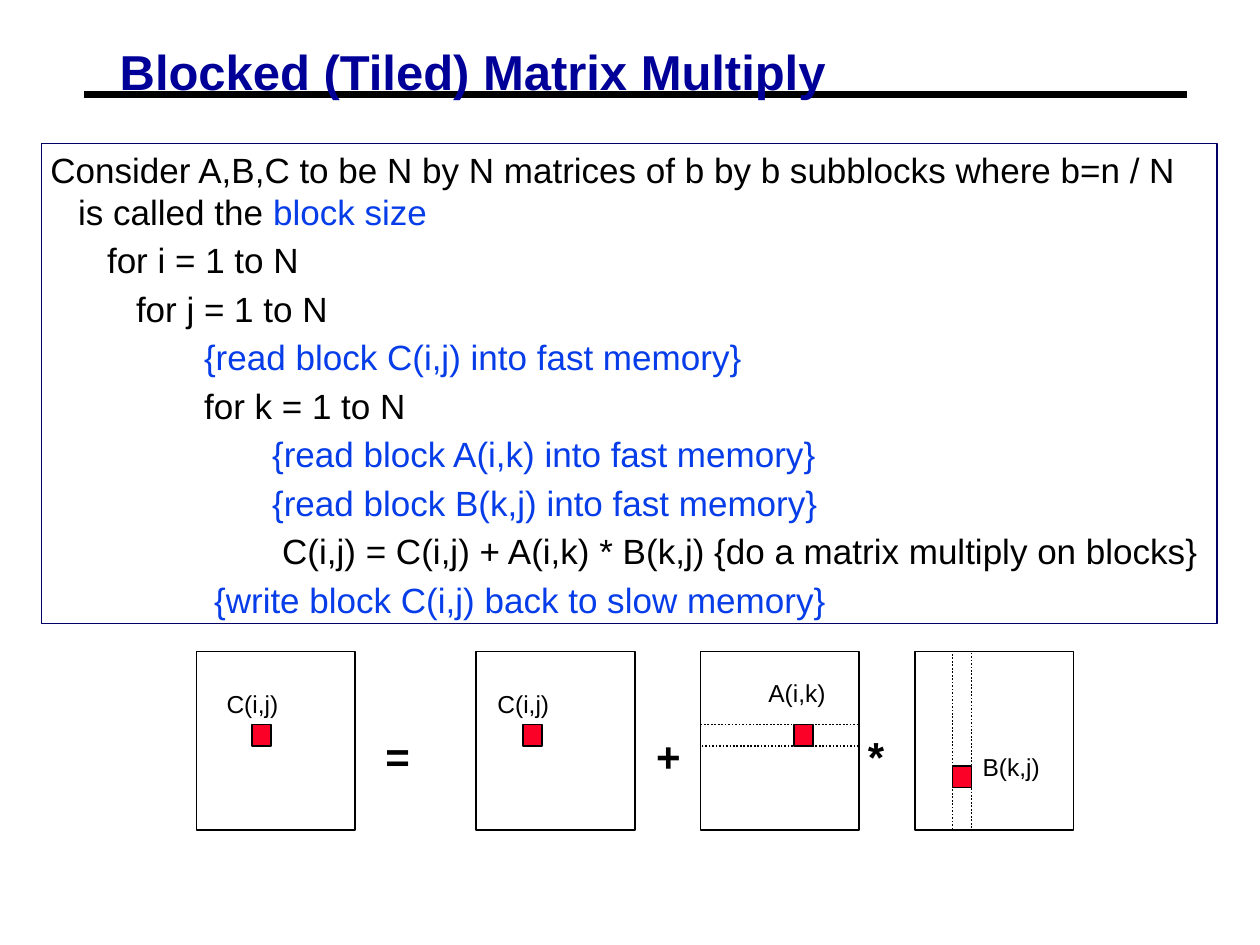
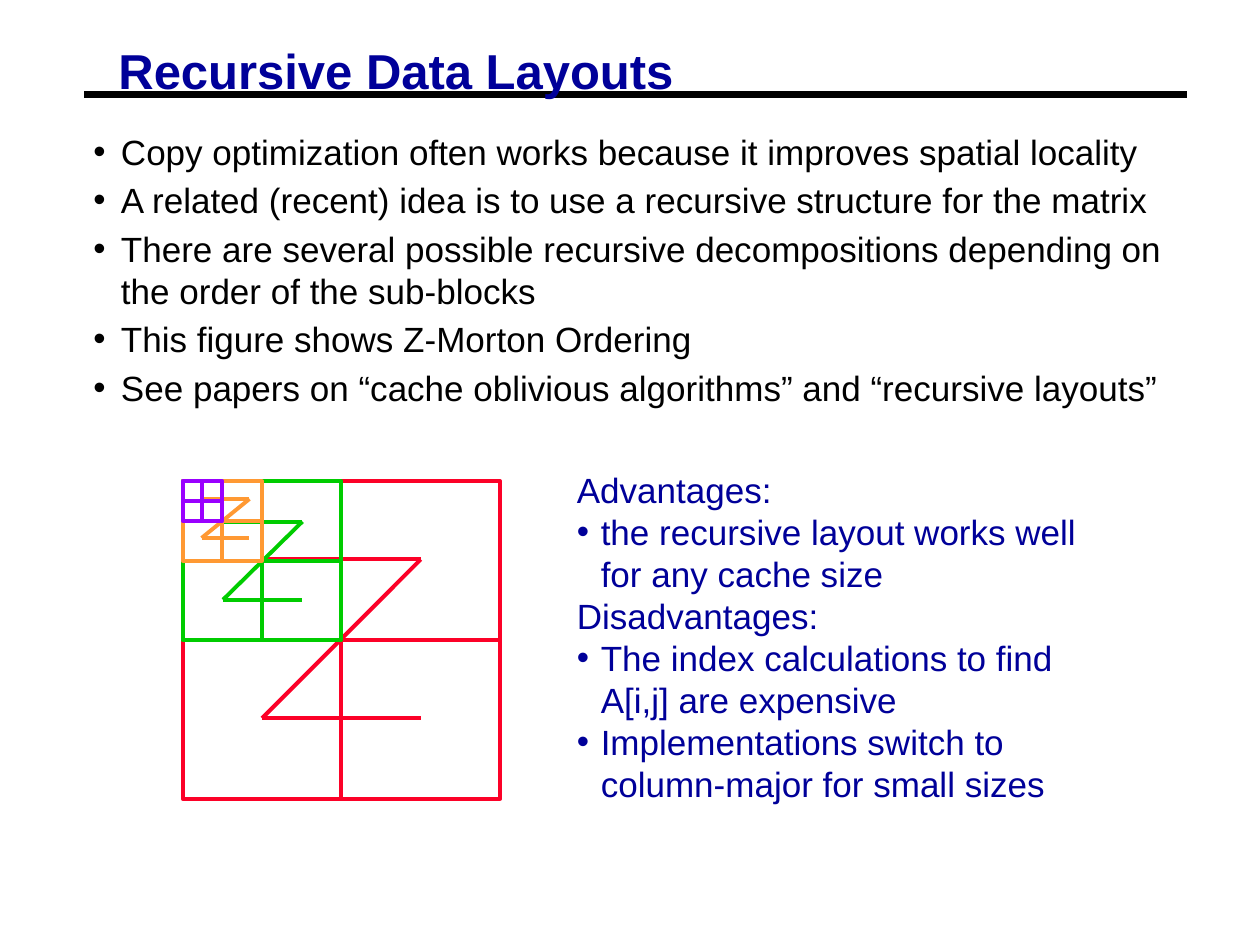
from dataclasses import dataclass

from lxml import etree
from pptx import Presentation
from pptx import util as u
from pptx.dml.color import RGBColor
from pptx.enum import dml, shapes, text
from pptx.oxml.ns import qn

FONT = "Arial"
BLACK = RGBColor(0x00, 0x00, 0x00)
NAVY = RGBColor(0x00, 0x00, 0x99)
FRAME_NAVY = RGBColor(0x00, 0x00, 0x66)
MEMORY_BLUE = RGBColor(0x06, 0x3D, 0xE8)
RED = RGBColor(0xFC, 0x01, 0x28)
GREEN = RGBColor(0x00, 0xCC, 0x00)
ORANGE = RGBColor(0xFF, 0x99, 0x33)
PURPLE = RGBColor(0x99, 0x00, 0xFF)

# The slide is a grid of 100 columns by 75 square rows.
COLUMNS, ROWS = 100, 75
CELL = u.Inches(10) // COLUMNS

TIGHT = {"margin_left": 0.7, "margin_right": 0.7, "margin_top": 0.35, "margin_bottom": 0.35}
LOOSE = {"margin_left": 1, "margin_right": 1, "margin_top": 0.5, "margin_bottom": 0.5}
HANG = 2.2

MATRIX_TOP, MATRIX_WIDTH, MATRIX_HEIGHT = 51.7, 12.6, 14.2
BLOCK_WIDTH, BLOCK_HEIGHT = 1.5, 1.7


@dataclass
class Line:
    """One paragraph; indents are in grid columns, hang is how far the first line sticks out."""
    words: str
    color: RGBColor = BLACK
    indent: float = 0
    hang: float = 0
    bullet: bool = False
    tail: str = ""
    tail_color: RGBColor = MEMORY_BLUE


def grid(*cells):
    return [u.Emu(round(cell * CELL)) for cell in cells]


def set_frame(frame, margins, anchor=text.MSO_ANCHOR.TOP):
    frame.word_wrap = True
    frame.auto_size = text.MSO_AUTO_SIZE.NONE
    frame.vertical_anchor = anchor
    for name, cells in margins.items():
        setattr(frame, name, grid(cells)[0])


def set_font(font, color, size, bold=False):
    values = {"name": FONT, "size": u.Pt(size), "bold": bold}
    for name, value in values.items():
        setattr(font, name, value)
    font.color.rgb = color


def set_indent(paragraph, line):
    properties = paragraph._p.get_or_add_pPr()
    left, first = grid(line.indent, -line.hang)
    properties.set("marL", str(left))
    properties.set("indent", str(first))
    if line.bullet:
        etree.SubElement(properties, qn("a:buFont")).set("typeface", FONT)
        etree.SubElement(properties, qn("a:buChar")).set("char", "•")
    else:
        etree.SubElement(properties, qn("a:buNone"))


def write_lines(frame, lines, size=20, space=0, bold=False):
    for index, line in enumerate(lines):
        paragraph = frame.add_paragraph() if index else frame.paragraphs[0]
        paragraph.alignment = text.PP_ALIGN.LEFT
        paragraph.space_before = u.Pt(space if index else 0)
        set_indent(paragraph, line)
        for words, color in ((line.words, line.color), (line.tail, line.tail_color)):
            if words:
                run = paragraph.add_run()
                run.text = words
                set_font(run.font, color, size, bold)


def add_text(slide, box, lines, margins=LOOSE, **style):
    frame = slide.shapes.add_textbox(*grid(*box)).text_frame
    set_frame(frame, margins)
    write_lines(frame, lines, **style)


def add_box(parent, box, line_color=BLACK, width=1, fill=None, dotted=False):
    shape = parent.shapes.add_shape(shapes.MSO_SHAPE.RECTANGLE, *grid(*box))
    shape.shadow.inherit = False
    if fill is None:
        shape.fill.background()
    else:
        shape.fill.solid()
        shape.fill.fore_color.rgb = fill
    shape.line.color.rgb = line_color
    shape.line.width = u.Pt(width)
    if dotted:
        shape.line.dash_style = dml.MSO_LINE.ROUND_DOT
    return shape


def add_line(parent, start, end, color, width):
    connector = parent.shapes.add_connector(
        shapes.MSO_CONNECTOR.STRAIGHT, *grid(*start, *end))
    connector.line.color.rgb = color
    connector.line.width = u.Pt(width)
    etree.SubElement(connector.element.spPr, qn("a:effectLst"))
    return connector


def add_titled_slide(presentation, title, box):
    slide = presentation.slides.add_slide(presentation.slide_layouts[5])
    shape = slide.shapes.title
    shape.left, shape.top, shape.width, shape.height = grid(*box)
    set_frame(shape.text_frame, TIGHT, text.MSO_ANCHOR.MIDDLE)
    write_lines(shape.text_frame, [Line(title, NAVY)], size=28, bold=True)
    shape.text_frame.paragraphs[0].line_spacing = 0.87
    return slide


def move_rule_to_layout(slide):
    """Draw the rule under the title and hand it to the layout that the slides share."""
    rule = add_line(slide, (6.7, 7.5), (94.2, 7.5), BLACK, 3.75)
    slide.slide_layout.shapes.element.append(rule.element)


def add_matrix(slide, left, block, label, label_at, strip=None):
    """Draw a matrix with one marked block, and the block's row or column strip."""
    add_box(slide, (left, MATRIX_TOP, MATRIX_WIDTH, MATRIX_HEIGHT))
    block_left, block_top = block
    strips = {"row": (left, block_top, MATRIX_WIDTH, BLOCK_HEIGHT),
              "column": (block_left, MATRIX_TOP, BLOCK_WIDTH, MATRIX_HEIGHT)}
    if strip:
        add_box(slide, strips[strip], dotted=True)
    add_box(slide, (*block, BLOCK_WIDTH, BLOCK_HEIGHT), fill=RED)
    add_text(slide, (*label_at, 7.4, 3.4), [Line(label)], size=14)


def add_quadrants(slide, left, top, side, color):
    group = slide.shapes.add_group_shape()
    half = side / 2
    for row in range(2):
        for column in range(2):
            add_box(group, (left + column * half, top + row * half, half, half), color, 2.25)


def add_z(slide, left, top, width, height, color):
    group = slide.shapes.add_group_shape()
    right, bottom = left + width, top + height
    corners = [(left, top), (right, top), (left, bottom), (right, bottom)]
    for start, end in zip(corners, corners[1:]):
        add_line(group, start, end, color, 2.25)


def build_tiled_multiply(presentation):
    slide = add_titled_slide(
        presentation, "Blocked (Tiled) Matrix Multiply", (8.8, 3.4, 57.6, 5.2))
    move_rule_to_layout(slide)
    algorithm = add_box(slide, (3.3, 11.4, 93.3, 38.1), FRAME_NAVY, 0.75)
    set_frame(algorithm.text_frame, TIGHT)
    write_lines(algorithm.text_frame, [
        Line("Consider A,B,C to be N by N matrices of b by b subblocks where b=n / N "
             "is called the ", indent=HANG, hang=HANG, tail="block size"),
        Line("for i = 1 to N", indent=4.5),
        Line("for j = 1 to N", indent=6.8),
        Line("{read block C(i,j) into fast memory}", MEMORY_BLUE, 12.2),
        Line("for k = 1 to N", indent=12.2),
        Line("{read block A(i,k) into fast memory}", MEMORY_BLUE, 17.6),
        Line("{read block B(k,j) into fast memory}", MEMORY_BLUE, 17.6),
        Line("C(i,j) = C(i,j) + A(i,k) * B(k,j) {do a matrix multiply on blocks}", indent=18.4),
        Line("{write block C(i,j) back to slow memory}", MEMORY_BLUE, 13),
    ], space=3.7)

    add_matrix(slide, 15.6, (20, 57.5), "C(i,j)", (17, 54.2))
    add_matrix(slide, 37.8, (41.5, 57.5), "C(i,j)", (38.5, 54.2))
    add_matrix(slide, 55.6, (63, 57.5), "A(i,k)", (60, 53.3), "row")
    add_matrix(slide, 72.6, (75.6, 60.8), "B(k,j)", (77, 59.2), "column")
    for sign, left, width in (("=", 29.6, 5.9), ("+", 51.1, 3), ("*", 67.9, 3)):
        add_text(slide, (left, 57.5, width, 5), [Line(sign)], size=24, bold=True)


def build_recursive_layouts(presentation):
    slide = add_titled_slide(presentation, "Recursive Data Layouts", (8.7, 3.3, 45.6, 5.2))
    ideas = [
        "Copy optimization often works because it improves spatial locality",
        "A related (recent) idea is to use a recursive structure for the matrix",
        "There are several possible recursive decompositions depending on "
        "the order of the sub-blocks",
        "This figure shows Z-Morton Ordering",
        "See papers on “cache oblivious algorithms” and “recursive layouts”",
    ]
    add_text(slide, (6.7, 10, 87.5, 22.7),
             [Line(idea, indent=HANG, hang=HANG, bullet=True) for idea in ideas],
             TIGHT, space=3.7)

    left, top, side = 14.5, 38.2, 25.2
    levels = [
        (RED, (20.8, 44.4, 12.6, 12.6)),
        (GREEN, (17.7, 41.4, 6.3, 6.2)),
        (ORANGE, (16, 39.6, 3.8, 3.1)),
        (PURPLE, None),
    ]
    for depth, (color, z_box) in enumerate(levels):
        add_quadrants(slide, left, top, side / 2 ** depth, color)
        if z_box:
            add_z(slide, *z_box, color)

    point = {"color": NAVY, "indent": 1.9, "hang": 1.9}
    add_text(slide, (44.8, 36.7, 44.3, 27.7), [
        Line("Advantages:", **point),
        Line("the recursive layout works well for any cache size", bullet=True, **point),
        Line("Disadvantages:", **point),
        Line("The index calculations to find A[i,j] are expensive", bullet=True, **point),
        Line("Implementations switch to column-major for small sizes", bullet=True, **point),
    ])


def main():
    presentation = Presentation()
    presentation.slide_width, presentation.slide_height = grid(COLUMNS, ROWS)
    build_tiled_multiply(presentation)
    build_recursive_layouts(presentation)
    presentation.save("out.pptx")


if __name__ == "__main__":
    main()
